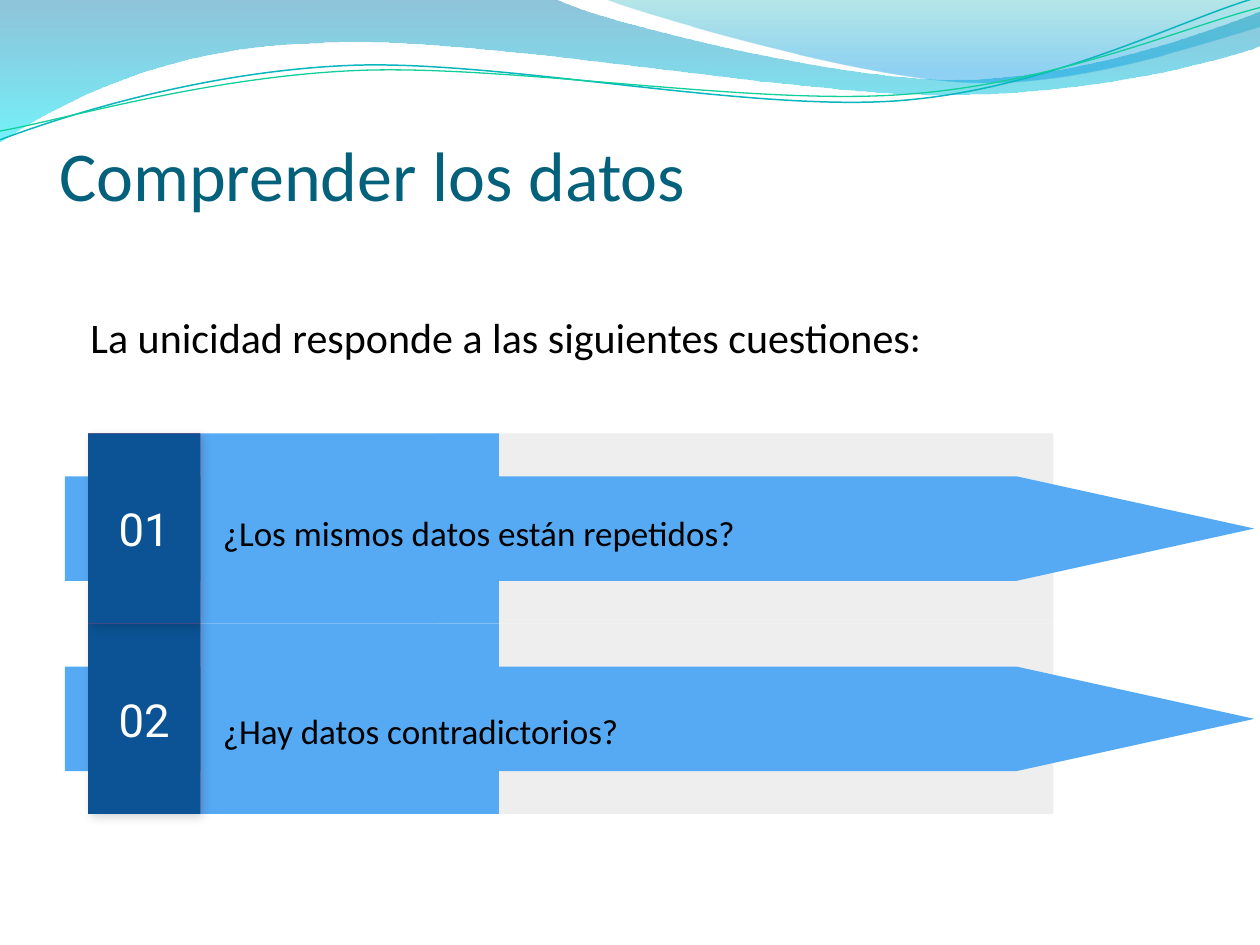
from typing import NamedTuple

import pptx
import pptx.dml.color
import pptx.enum.shapes
import pptx.enum.text
import pptx.oxml
import pptx.oxml.ns
import pptx.util
from lxml import etree

RGB = pptx.dml.color.RGBColor
SHAPE = pptx.enum.shapes.MSO_SHAPE
ANCHOR = pptx.enum.text.MSO_ANCHOR
ALIGN = pptx.enum.text.PP_ALIGN
qn = pptx.oxml.ns.qn

TITLE_TEAL = RGB(0x04, 0x61, 0x7B)
BLACK = RGB(0, 0, 0)
WHITE = RGB(0xFF, 0xFF, 0xFF)
PALE_GREY = RGB(0xEE, 0xEE, 0xEE)
SKY = RGB(0x56, 0xA9, 0xF3)
NAVY = RGB(0x0B, 0x53, 0x94)
CRIMSON = RGB(0xB6, 0x12, 0x49)
WAVE_BLUE = RGB(0x00, 0x79, 0xAD)
WAVE_CYAN = RGB(0x00, 0xE9, 0xF7)
CREST_TEAL = RGB(0x00, 0xAB, 0xB4)
CREST_BLUE = RGB(0x00, 0x99, 0xE4)
STRAND_TEAL = RGB(0x09, 0xB6, 0xBE)
STRAND_GREEN = RGB(0x10, 0xCF, 0x9B)

SLIDE_WIDTH = pptx.util.Inches(10)
SLIDE_HEIGHT = pptx.util.Inches(7.5)
ROWS_TOP, ROW_HEIGHT = 34.4, 15.1


class Box(NamedTuple):
    """Left, top, width and height in hundredths of the slide's width."""
    left: float
    top: float
    width: float
    height: float

    def emu(self) -> list:
        return [share(value) for value in self]


class Stop(NamedTuple):
    position: float
    color: RGB
    opacity: int


class Wave(NamedTuple):
    """Each segment holds one point (a line) or three points (a cubic curve)."""
    start: tuple
    segments: list
    stops: tuple = ()
    line_color: RGB = None
    line_width: float = 0


class Question(NamedTuple):
    number: str
    text: str
    line_spacing: float


WAVES = [
    Wave((0, 0), [
        [(44, -0.1)], [(47.6, 1.7), (66.4, 6.3), (75.8, 6.3)],
        [(85.3, 6.3), (95.8, 2.6), (100, 0.9)], [(100.1, 3.6)],
        [(98.3, 4.4), (87, 7.6), (74.6, 7.5)], [(62.2, 7.5), (38.2, 2.8), (25.7, 3.4)],
        [(12.9, 3.6), (4.6, 8.3), (-0.1, 11.3)],
    ], stops=(Stop(0, WAVE_BLUE, 44), Stop(1, WAVE_CYAN, 55))),
    Wave((47.9, -0.1), [
        [(50.9, 1.1), (68.2, 6.2), (76.9, 6.5)], [(85.6, 6.9), (96.1, 3.2), (100, 2.1)],
        [(100, 0)],
    ], stops=(Stop(0, CREST_TEAL, 29), Stop(0.8, CREST_BLUE, 44))),
    Wave((0, 11.1), [
        [(4.8, 9.3), (15.8, 5.7), (27.7, 5.2)], [(39.5, 4.7), (59.3, 8.9), (71.3, 8)],
        [(83.3, 7.1), (93.8, 1.5), (99.8, -0.2)],
    ], line_color=STRAND_TEAL, line_width=0.85),
    Wave((0, 10.4), [
        [(4.7, 9.6), (16.4, 6.1), (28.3, 5.6)], [(40.3, 5.1), (59.7, 8.4), (71.7, 7.5)],
        [(83.6, 6.7), (94.1, 2.1), (100, 0.6)],
    ], line_color=STRAND_GREEN, line_width=0.75),
]

QUESTIONS = [
    Question("01", "¿Los mismos datos están repetidos?", 1.15),
    Question("02", "¿Hay datos contradictorios?", 1.5),
]


def share(value: float) -> int:
    return round(SLIDE_WIDTH * value / 100)


def apply(target, formats: dict) -> None:
    for name, value in formats.items():
        setattr(target, name, value)


def format_frame(frame, anchor, insets: tuple, wrap: bool = True) -> None:
    """Insets are left, top, right and bottom in inches."""
    left, top, right, bottom = map(pptx.util.Inches, insets)
    apply(frame, {
        "margin_left": left, "margin_top": top, "margin_right": right,
        "margin_bottom": bottom, "vertical_anchor": anchor, "word_wrap": wrap,
    })


def add_run(paragraph, text: str, size: float, font: str, color: RGB) -> None:
    run = paragraph.add_run()
    run.text = text
    apply(run.font, {"size": pptx.util.Pt(size), "name": font})
    run.font.color.rgb = color


def bend(shape, segments: list) -> None:
    """Join the straight steps of each three-point segment into a cubic curve."""
    steps = iter(list(shape._element.spPr.iter(qn("a:lnTo"))))
    for segment in segments:
        first, *others = [next(steps) for _ in segment]
        if others:
            curve = etree.Element(qn("a:cubicBezTo"))
            first.addprevious(curve)
            for step in (first, *others):
                curve.append(step[0])
                step.getparent().remove(step)


def add_wave(slide, wave: Wave) -> None:
    builder = slide.shapes.build_freeform(*map(share, wave.start))
    points = [(share(x), share(y)) for segment in wave.segments for x, y in segment]
    builder.add_line_segments(points, close=bool(wave.stops))
    shape = builder.convert_to_shape()
    bend(shape, wave.segments)
    shape.shadow.inherit = False
    if not wave.stops:
        shape.fill.background()
        shape.line.color.rgb = wave.line_color
        shape.line.width = pptx.util.Pt(wave.line_width)
        return
    shape.line.fill.background()
    shape.fill.gradient()
    shape.fill.gradient_angle = 270
    for target, stop in zip(shape.fill.gradient_stops, wave.stops):
        target.position = stop.position
        target.color.rgb = stop.color
    colors = shape._element.spPr.iter(qn("a:srgbClr"))
    for color, stop in zip(colors, wave.stops):
        etree.SubElement(color, qn("a:alpha"), val=str(stop.opacity * 1000))


def add_filled(slide, box: Box, color: RGB, kind=SHAPE.RECTANGLE, rotation: float = 0):
    shape = slide.shapes.add_shape(kind, *box.emu())
    shape.rotation = rotation
    shape.shadow.inherit = False
    shape.fill.solid()
    shape.fill.fore_color.rgb = color
    shape.line.fill.background()
    return shape


def add_soft_shadow(shape) -> None:
    effects = shape._element.spPr.find(qn("a:effectLst"))
    effects.append(pptx.oxml.parse_xml(
        f'<a:outerShdw {pptx.oxml.ns.nsdecls("a")} blurRad="{pptx.util.Pt(5.6)}" '
        f'dist="{pptx.util.Pt(2.2)}" dir="2700000" algn="tl" rotWithShape="0">'
        '<a:srgbClr val="000000"><a:alpha val="16000"/></a:srgbClr></a:outerShdw>'))


def add_question(slide, question: Question, top: float) -> None:
    add_filled(slide, Box(34.5, top, 49.1, ROW_HEIGHT), PALE_GREY)
    add_filled(slide, Box(15.9, top, 23.7, ROW_HEIGHT), SKY)
    # The arrow is an upright pentagon turned to point right.
    thickness, length = 8.3, 94.4
    middle = top + ROW_HEIGHT / 2
    add_filled(slide, Box(52.35 - thickness / 2, middle - length / 2, thickness, length),
               SKY, SHAPE.FLOWCHART_OFFPAGE_CONNECTOR, 270)

    number_box = Box(7, top, 8.9, ROW_HEIGHT)
    add_soft_shadow(add_filled(slide, number_box, CRIMSON))
    number = add_filled(slide, number_box, NAVY).text_frame
    format_frame(number, ANCHOR.MIDDLE, (0.1, 0.1, 0.1, 0.1))
    number.paragraphs[0].alignment = ALIGN.CENTER
    add_run(number.paragraphs[0], question.number, 26, "Roboto", WHITE)

    wording = slide.shapes.add_textbox(*Box(16.7, top + 1.8, 50.9, 11.7).emu()).text_frame
    format_frame(wording, ANCHOR.MIDDLE, (0.1, 0.1, 0.1, 0.1))
    wording.paragraphs[0].line_spacing = question.line_spacing
    add_run(wording.paragraphs[0], question.text, 20, "Calibri", BLACK)


def main() -> None:
    presentation = pptx.Presentation()
    apply(presentation, {"slide_width": SLIDE_WIDTH, "slide_height": SLIDE_HEIGHT})
    slide = presentation.slides.add_slide(presentation.slide_layouts[5])

    for wave in WAVES:
        add_wave(slide, wave)

    title = slide.shapes.title
    apply(title, dict(zip(Box._fields, Box(4.7, 9.4, 90, 7.7).emu())))
    format_frame(title.text_frame, ANCHOR.BOTTOM, (0, 0.05, 0, 0))
    title.text_frame.paragraphs[0].alignment = ALIGN.LEFT
    add_run(title.text_frame.paragraphs[0], "Comprender los datos", 40, "Calibri", TITLE_TEAL)

    intro = slide.shapes.add_textbox(*Box(6.2, 24.2, 68, 5).emu()).text_frame
    format_frame(intro, ANCHOR.TOP, (0.1, 0.05, 0.1, 0.05), wrap=False)
    for text, font in (("La unicidad responde a las siguientes cuestiones", "Calibri"),
                       (":", "Vollkorn")):
        add_run(intro.paragraphs[0], text, 24, font, BLACK)

    for row, question in reversed(list(enumerate(QUESTIONS))):
        add_question(slide, question, ROWS_TOP + row * ROW_HEIGHT)

    presentation.save("out.pptx")


if __name__ == "__main__":
    main()
